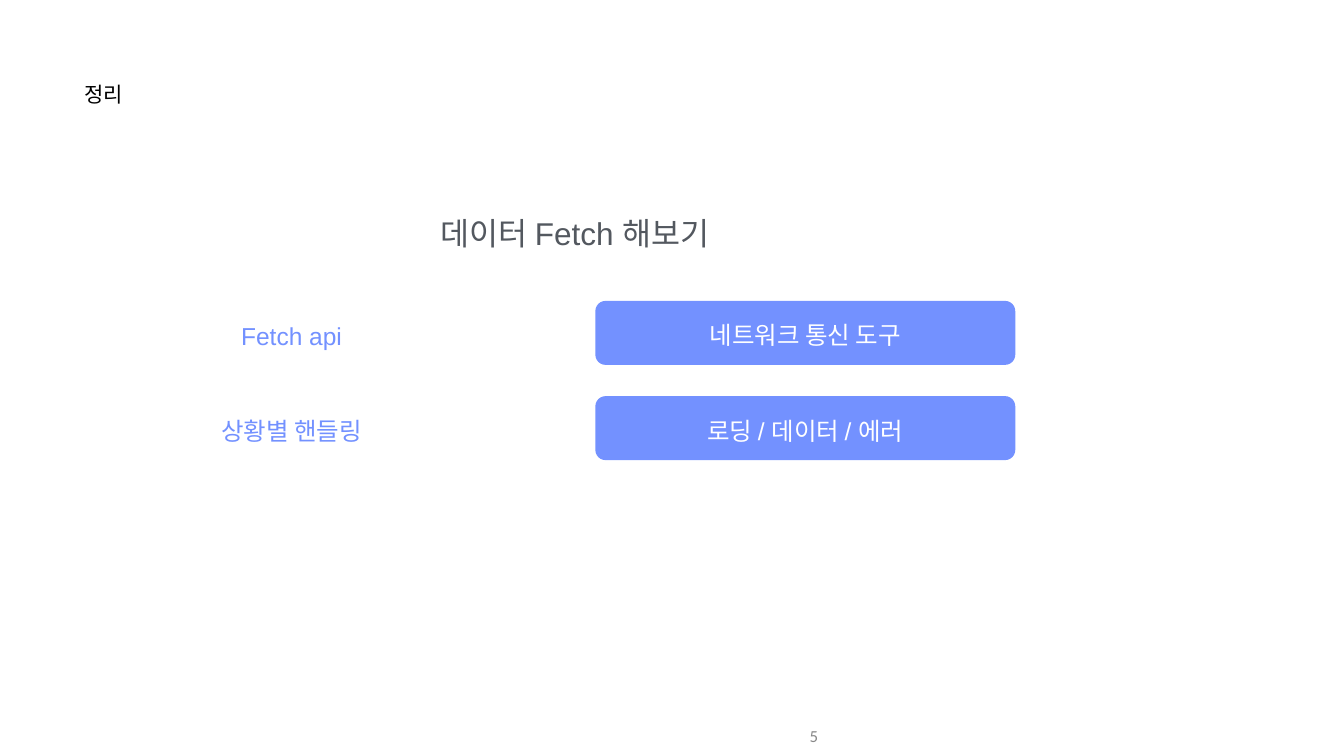
from dataclasses import dataclass

from pptx import Presentation
from pptx.dml.color import RGBColor
from pptx.enum.shapes import MSO_SHAPE
from pptx.enum.text import MSO_ANCHOR, MSO_AUTO_SIZE, PP_ALIGN
from pptx.util import Inches, Pt

TITLE = "정리"
HEADING = "데이터 Fetch 해보기"
ROWS = [
    ("Fetch api", "네트워크 통신 도구"),
    ("상황별 핸들링", "로딩 / 데이터 / 에러"),
]
PAGE_NUMBER = "5"


@dataclass(frozen=True)
class Theme:
    font: str = "Arial"
    number_font: str = "Calibri"
    black: str = "000000"
    white: str = "FFFFFF"
    accent: str = "7391FF"
    slate: str = "53585F"
    gray: str = "888888"
    title_size: int = 30
    heading_size: int = 45
    row_size: int = 35
    number_size: int = 24


THEME = Theme()
ROW_TOP, ROW_PITCH, ROW_HEIGHT = 5.97, 1.89, 1.27
LABEL_LEFT, LABEL_WIDTH, LABEL_HEIGHT = 2.66, 6.25, 0.62
PILL_LEFT, PILL_WIDTH, PILL_ROUNDING = 11.81, 8.33, 0.16
TEXT_DROP = 0.05  # row text sits slightly below the pill's middle


def write(sp, text, size, color, align=PP_ALIGN.CENTER,
          anchor=MSO_ANCHOR.MIDDLE, font=THEME.font, margins=(0.01, 0.01)):
    """Fill a shape with one formatted line; margins are (sides, top and bottom)."""
    tf = sp.text_frame
    tf.word_wrap = True
    tf.auto_size = MSO_AUTO_SIZE.NONE
    tf.vertical_anchor = anchor
    tf.margin_left = tf.margin_right = Inches(margins[0])
    tf.margin_top = tf.margin_bottom = Inches(margins[1])
    p = tf.paragraphs[0]
    p.alignment = align
    r = p.add_run()
    r.text = text
    r.font.name = font
    r.font.size = Pt(size)
    r.font.color.rgb = RGBColor.from_string(color)


def add_text(s, box, *args, **kwargs):
    write(s.shapes.add_textbox(*map(Inches, box)), *args, **kwargs)


def add_row(s, top, label, answer):
    middle = top + ROW_HEIGHT / 2 + TEXT_DROP
    add_text(s, (LABEL_LEFT, middle - LABEL_HEIGHT / 2, LABEL_WIDTH, LABEL_HEIGHT),
             label, THEME.row_size, THEME.accent)
    pill = s.shapes.add_shape(
        MSO_SHAPE.ROUNDED_RECTANGLE,
        *map(Inches, (PILL_LEFT, top, PILL_WIDTH, ROW_HEIGHT)))
    pill.adjustments[0] = PILL_ROUNDING
    pill.shadow.inherit = False
    pill.fill.solid()
    pill.fill.fore_color.rgb = RGBColor.from_string(THEME.accent)
    pill.line.fill.background()
    write(pill, answer, THEME.row_size, THEME.white)
    pill.text_frame.margin_top = Inches(2 * TEXT_DROP)


def main():
    prs = Presentation()
    prs.slide_width, prs.slide_height = Inches(26.66), Inches(15)
    s = prs.slides.add_slide(prs.slide_layouts[5])

    title = s.shapes.title
    title.left, title.top = Inches(1.67), Inches(1.6)
    title.width, title.height = Inches(4.86), Inches(1.18)
    write(title, TITLE, THEME.title_size, THEME.black,
          PP_ALIGN.LEFT, MSO_ANCHOR.TOP)

    add_text(s, (2.64, 4.24, 17.54, 0.79), HEADING, THEME.heading_size,
             THEME.slate, anchor=MSO_ANCHOR.TOP)
    for i, (label, answer) in enumerate(ROWS):
        add_row(s, ROW_TOP + i * ROW_PITCH, label, answer)
    add_text(s, (10.33, 14.21, 6, 0.79), PAGE_NUMBER, THEME.number_size,
             THEME.gray, PP_ALIGN.RIGHT, font=THEME.number_font,
             margins=(0.1, 0.05))

    prs.save("out.pptx")


if __name__ == "__main__":
    main()
